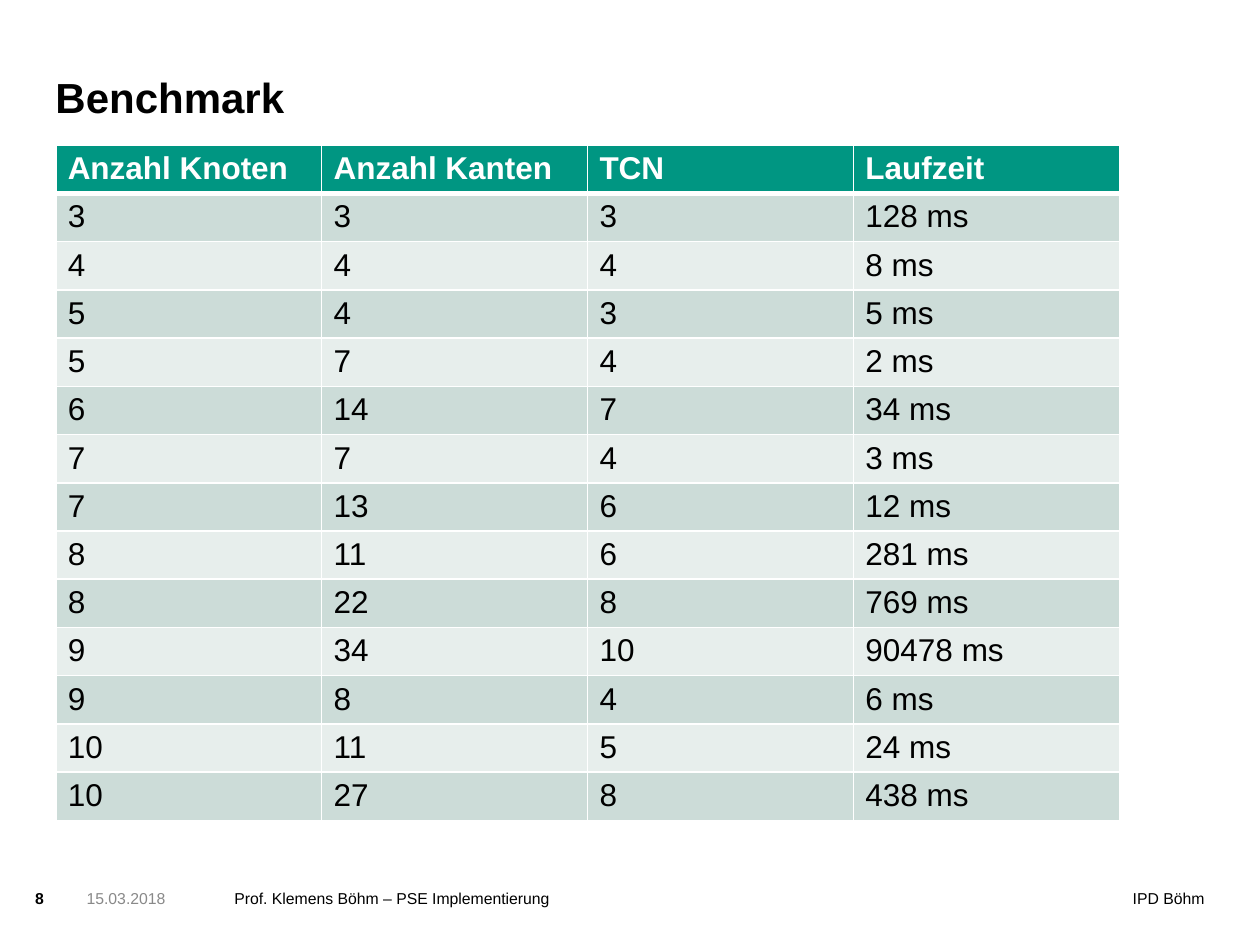
from dataclasses import dataclass

from lxml import etree
from pptx import Presentation
from pptx import util as u
from pptx.dml.color import RGBColor
from pptx.enum import text
from pptx.oxml import ns

Pt = u.Pt


@dataclass(frozen=True)
class Theme:
    font: str = "Arial"
    black: str = "000000"
    white: str = "FFFFFF"
    grey: str = "898989"
    header: str = "009682"
    bands: tuple = ("CCDCD8", "E7EEEC")
    title_size: float = 24
    table_size: float = 18
    footer_size: float = 9
    thin_border: float = 0.96
    header_border: float = 3


THEME = Theme()

HEADINGS = ("Anzahl Knoten", "Anzahl Kanten", "TCN", "Laufzeit")
# Nodes, edges, TCN, run time in ms
MEASUREMENTS = (
    (3, 3, 3, 128),
    (4, 4, 4, 8),
    (5, 4, 3, 5),
    (5, 7, 4, 2),
    (6, 14, 7, 34),
    (7, 7, 4, 3),
    (7, 13, 6, 12),
    (8, 11, 6, 281),
    (8, 22, 8, 769),
    (9, 34, 10, 90478),
    (9, 8, 4, 6),
    (10, 11, 5, 24),
    (10, 27, 8, 438),
)


def write_text(frame, content, size, color=THEME.black, bold=False,
               align=text.PP_ALIGN.LEFT):
    paragraph = frame.paragraphs[0]
    paragraph.alignment = align
    run = paragraph.add_run()
    run.text = content
    font = run.font
    font.name, font.size, font.bold = THEME.font, Pt(size), bold
    font.color.rgb = RGBColor.from_string(color)


def prepare_frame(frame, anchor):
    frame.word_wrap = True
    frame.auto_size = text.MSO_AUTO_SIZE.NONE
    frame.vertical_anchor = anchor
    frame.margin_left = frame.margin_right = 0
    frame.margin_top = frame.margin_bottom = 0


def add_title(slide, content):
    title = slide.shapes.title
    title.left, title.top = Pt(31.7), Pt(31)
    title.width, title.height = Pt(540.7), Pt(38.9)
    prepare_frame(title.text_frame, text.MSO_ANCHOR.BOTTOM)
    write_text(title.text_frame, content, THEME.title_size, bold=True)


def add_footer(slide, content, left, width, height=28.8, **text_format):
    box = slide.shapes.add_textbox(Pt(left), Pt(507.6), Pt(width), Pt(height))
    prepare_frame(box.text_frame, text.MSO_ANCHOR.TOP)
    write_text(box.text_frame, content, THEME.footer_size, **text_format)


def set_borders(cell, widths):
    properties = cell._tc.get_or_add_tcPr()
    for side in "LRTB":
        width = widths.get(side, THEME.thin_border)
        line = etree.SubElement(properties, ns.qn(f"a:ln{side}"), w=str(Pt(width)))
        fill = etree.SubElement(line, ns.qn("a:solidFill"))
        etree.SubElement(fill, ns.qn("a:srgbClr"), val=THEME.white)


def format_cell(cell, content, fill, borders, **text_format):
    cell.margin_left = cell.margin_right = Pt(6.85)
    cell.margin_top = cell.margin_bottom = Pt(3.4)
    # Borders come before the fill in the cell properties
    set_borders(cell, borders)
    cell.fill.solid()
    cell.fill.fore_color.rgb = RGBColor.from_string(fill)
    write_text(cell.text_frame, content, THEME.table_size, **text_format)


def add_benchmark_table(slide):
    rows = [HEADINGS] + [(*counts, f"{time} ms") for *counts, time in MEASUREMENTS]
    column_width, row_height = 151.95, 27.56
    table = slide.shapes.add_table(
        len(rows), len(HEADINGS), Pt(31.9), Pt(83),
        Pt(column_width * len(HEADINGS)), Pt(row_height * len(rows))).table
    for column in table.columns:
        column.width = Pt(column_width)
    for row in table.rows:
        row.height = Pt(row_height)

    for row_index, values in enumerate(rows):
        is_header = row_index == 0
        fill = THEME.header if is_header else THEME.bands[(row_index - 1) % 2]
        color = THEME.white if is_header else THEME.black
        # The thick rule is shared by the header and the first data row
        borders = {0: {"B": THEME.header_border},
                   1: {"T": THEME.header_border}}.get(row_index, {})
        for column_index, value in enumerate(values):
            format_cell(table.cell(row_index, column_index), str(value), fill,
                        borders, color=color, bold=is_header)


def main():
    presentation = Presentation()
    presentation.slide_width, presentation.slide_height = Pt(720), Pt(540)
    slide = presentation.slides.add_slide(presentation.slide_layouts[5])

    # Title and table
    add_title(slide, "Benchmark")
    add_benchmark_table(slide)

    # Footer line
    add_footer(slide, "8", 20, 26, height=23, bold=True)
    add_footer(slide, "15.03.2018", 49.5, 80.6, color=THEME.grey)
    add_footer(slide, "Prof. Klemens Böhm – PSE Implementierung", 133.9, 333.4)
    add_footer(slide, "IPD Böhm", 472.3, 216, align=text.PP_ALIGN.RIGHT)

    presentation.save("out.pptx")


if __name__ == "__main__":
    main()
